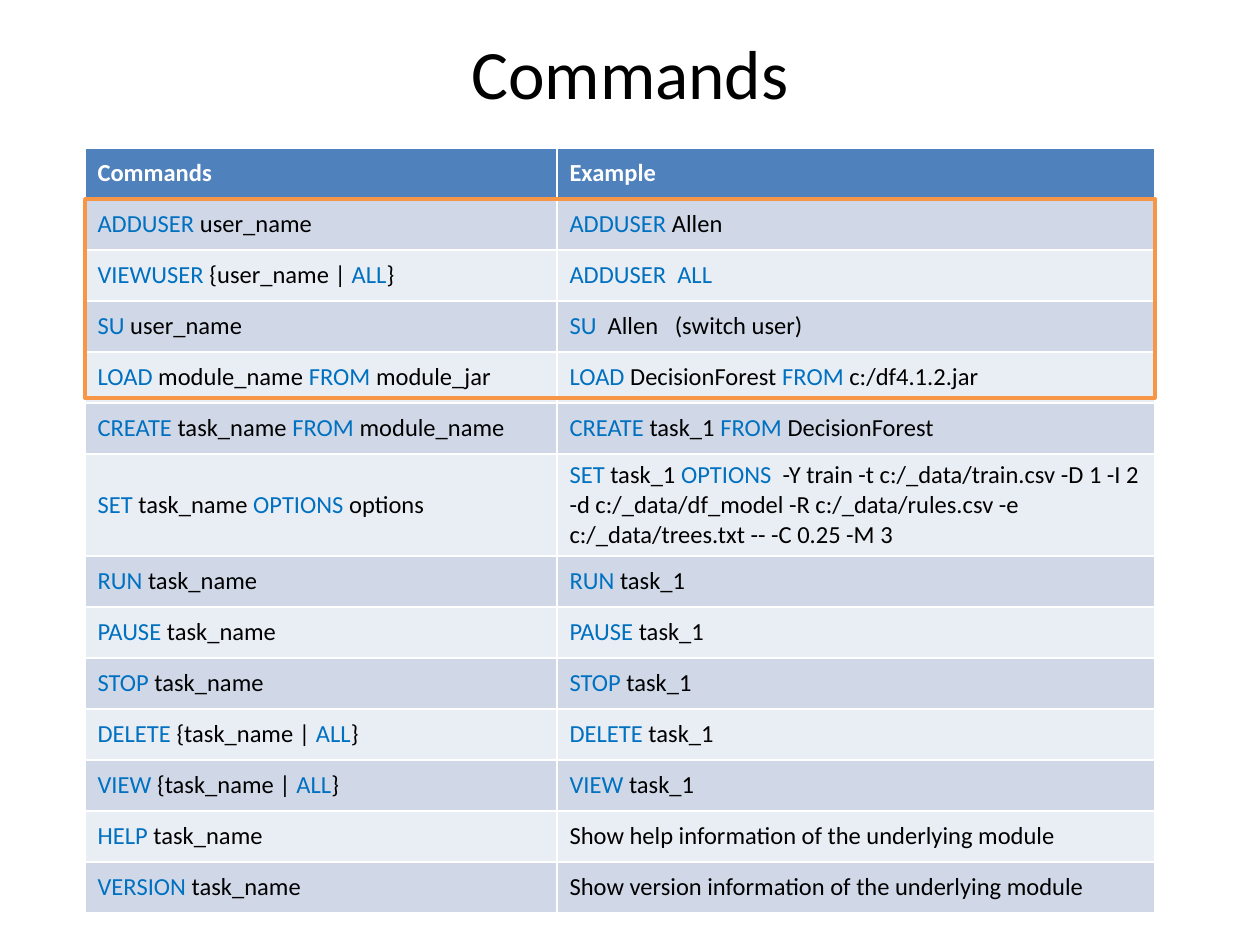
from lxml import etree
from pptx import Presentation
from pptx.dml.color import RGBColor
from pptx.enum.shapes import MSO_SHAPE
from pptx.enum.text import MSO_ANCHOR, MSO_AUTO_SIZE, PP_ALIGN
from pptx.oxml.ns import qn
from pptx.util import Pt

RECTANGLE = MSO_SHAPE.RECTANGLE
MIDDLE = MSO_ANCHOR.MIDDLE
NO_AUTOFIT = MSO_AUTO_SIZE.NONE
CENTER, LEFT = PP_ALIGN.CENTER, PP_ALIGN.LEFT

TITLE = "Commands"
HEADER = ("Commands", "Example")
# Keywords stand between asterisks.
COMMANDS = [
    ("*ADDUSER *user_name", "*ADDUSER* Allen"),
    ("*VIEWUSER* {user_name | *ALL*}", "*ADDUSER  ALL*"),
    ("*SU *user_name", "*SU  *Allen   (switch user)"),
    ("*LOAD *module_name *FROM *module_jar",
     "*LOAD *DecisionForest *FROM *c:/df4.1.2.jar"),
    ("*CREATE *task_name *FROM *module_name ",
     "*CREATE* task_1 *FROM *DecisionForest"),
    ("*SET *task_name *OPTIONS* options",
     "*SET *task_1 *OPTIONS*  -Y train -t c:/_data/train.csv -D 1 -I 2 "
     "-d c:/_data/df_model -R c:/_data/rules.csv -e c:/_data/trees.txt "
     "-- -C 0.25 -M 3"),
    ("*RUN *task_name", "*RUN *task_1"),
    ("*PAUSE *task_name", "*PAUSE *task_1 "),
    ("*STOP *task_name", "*STOP* task_1 "),
    ("*DELETE* {task_name | *ALL*}", "*DELETE* task_1 "),
    ("*VIEW* {task_name | *ALL*}", "*VIEW* task_1 "),
    ("*HELP *task_name", "Show help information of the underlying module"),
    ("*VERSION *task_name",
     "Show version information of the underlying module"),
]
TALL_ROW = 6

FONT = "Calibri"
BLACK, WHITE, KEYWORD = "000000", "FFFFFF", "0070C0"
HEADER_FILL, BANDS = "4F81BD", ("E9EDF4", "D0D8E8")
HIGHLIGHT = "F79646"

PX = 914400 // 126
TABLE_LEFT, TABLE_TOP = 85, 148
COLUMNS = (472, 598)
ROW_HEIGHT = 51


def px(*values):
    """Turn pixels into EMU."""
    return [v * PX for v in values]


def rgb(color):
    """Turn a hex string into a colour."""
    return RGBColor.from_string(color)


def write(tf, text, size=14, color=BLACK, bold=False, align=LEFT):
    """Write one paragraph, colouring the parts between asterisks."""
    p = tf.paragraphs[0]
    p.alignment = align
    for i, part in enumerate(text.split("*")):
        if part:
            r = p.add_run()
            r.text = part
            r.font.name, r.font.size, r.font.bold = FONT, Pt(size), bold
            r.font.color.rgb = rgb(KEYWORD if i % 2 else color)


def add_borders(cell, **widths):
    """Give a cell white borders; widths in points by side."""
    tc_pr = cell._tc.get_or_add_tcPr()
    for side in "LRTB":
        ln = etree.SubElement(tc_pr, qn(f"a:ln{side}"),
                              w=str(Pt(widths.get(side, 1))))
        fill = etree.SubElement(ln, qn("a:solidFill"))
        etree.SubElement(fill, qn("a:srgbClr"), val=WHITE)


def add_command_table(s):
    """Add the table of commands and examples."""
    rows = [HEADER] + COMMANDS
    heights = [ROW_HEIGHT * (2 if i == TALL_ROW else 1)
               for i in range(len(rows))]
    frame = s.shapes.add_table(
        len(rows), len(COLUMNS),
        *px(TABLE_LEFT, TABLE_TOP, sum(COLUMNS), sum(heights)))
    table = frame.table
    for column, width in zip(table.columns, px(*COLUMNS)):
        column.width = width
    for i, (texts, height) in enumerate(zip(rows, px(*heights))):
        table.rows[i].height = height
        header = i == 0
        for j, text in enumerate(texts):
            cell = table.cell(i, j)
            cell.vertical_anchor = MIDDLE
            add_borders(cell, T=3 if i == 1 else 1, B=3 if header else 1)
            cell.fill.solid()
            cell.fill.fore_color.rgb = rgb(HEADER_FILL if header else BANDS[i % 2])
            write(cell.text_frame, text, bold=header,
                  color=WHITE if header else BLACK)


def add_highlight(s):
    """Frame the first four commands."""
    box = s.shapes.add_shape(
        RECTANGLE, *px(TABLE_LEFT, TABLE_TOP + ROW_HEIGHT, sum(COLUMNS), 199))
    box.shadow.inherit = False
    box.fill.background()
    box.line.color.rgb = rgb(HIGHLIGHT)
    box.line.width = Pt(2)


prs = Presentation()
prs.slide_width, prs.slide_height = px(1260, 945)
s = prs.slides.add_slide(prs.slide_layouts[5])

title = s.shapes.title
title.left, title.top, title.width, title.height = px(63, 38, 1134, 67)
tf = title.text_frame
tf.auto_size = NO_AUTOFIT
tf.vertical_anchor = MIDDLE
write(tf, TITLE, size=39.6, align=CENTER)

add_command_table(s)
add_highlight(s)
prs.save("out.pptx")
